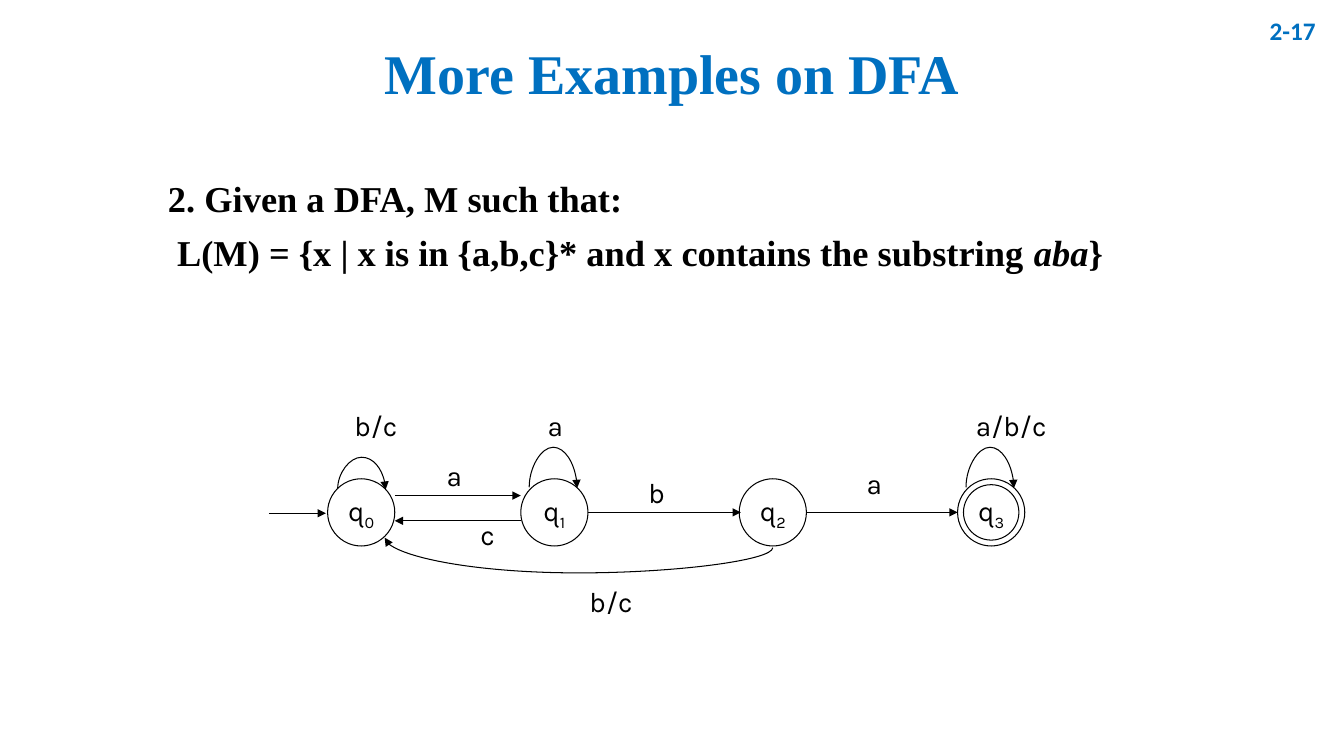
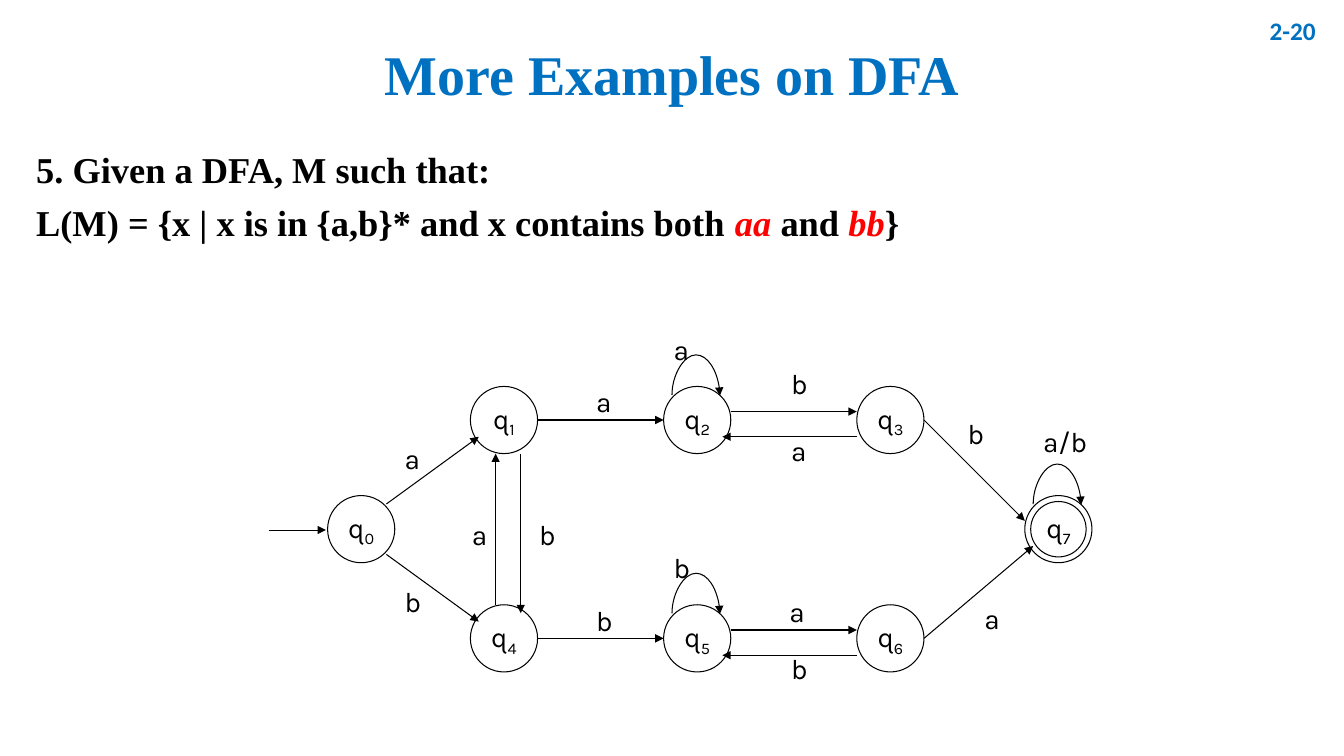
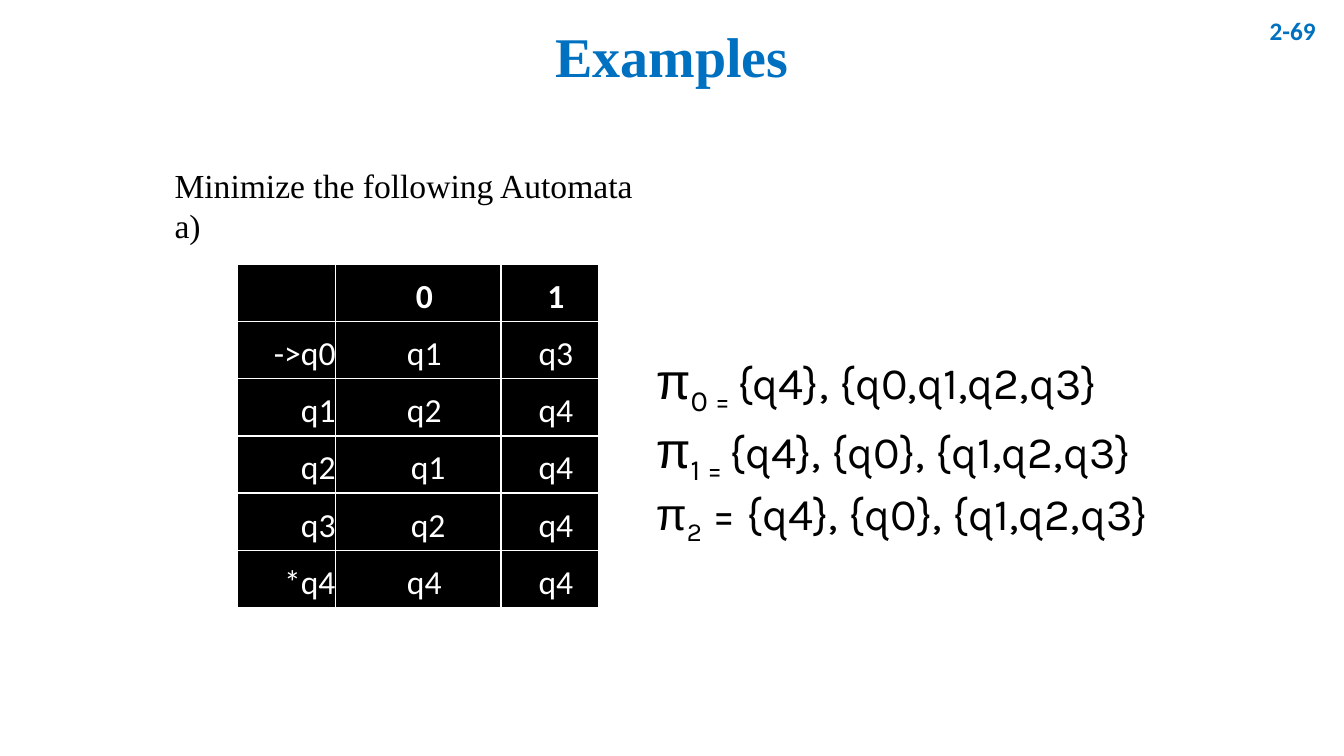
import dataclasses
import typing

import lxml.etree
import pptx
import pptx.dml.color
import pptx.enum.shapes
import pptx.enum.text
import pptx.oxml
import pptx.oxml.ns
import pptx.slide
import pptx.util

# Shared style: the slide is a grid of 160 columns by 90 rows, 12 to the inch
COLUMNS, ROWS, PER_INCH = 160, 90, 12
COLOURS = {"blue": "0070C0", "black": "000000", "white": "FFFFFF", "red": "FF0000"}
SERIF, SANS, DIAGRAM, GREEK = "Times New Roman", "Calibri", "Karla", "Arial"
LINE_WIDTH = pptx.util.Pt(0.75)
STATE_SIZE = 8
RING_GAP = 0.7
LOOP_WIDTH = 5.7
TITLE_ONLY, TITLE_AND_BODY = 5, 1
ALIGN = pptx.enum.text.PP_ALIGN
Point = tuple[float, float]
Box = tuple[float, float, float, float]


class Span(typing.NamedTuple):
    text: str
    size: float = 20
    font: str = DIAGRAM
    colour: str = "black"
    bold: bool = False
    italic: bool = False
    subscript: bool = False


@dataclasses.dataclass
class State:
    number: int
    column: float
    row: float
    accepting: bool = False


@dataclasses.dataclass
class Label:
    text: str
    column: float
    row: float


@dataclasses.dataclass
class Loop:
    column: float
    row: float
    rise: float = 4.8


@dataclasses.dataclass
class Automaton:
    states: list[State]
    arrows: list[tuple[Point, Point]]
    loops: list[Loop]
    labels: list[Label]


# Basic helpers
def grid(cells: float) -> pptx.util.Emu:
    return pptx.util.Inches(cells / PER_INCH)


def rgb(name: str) -> pptx.dml.color.RGBColor:
    return pptx.dml.color.RGBColor.from_string(COLOURS[name])


def child(parent: typing.Any, tag: str, **attributes: str) -> typing.Any:
    element = lxml.etree.SubElement(parent, pptx.oxml.ns.qn(tag))
    for key, value in attributes.items():
        element.set(key, value)
    return element


def write(paragraph: typing.Any, spans: list[Span]) -> None:
    for span in spans:
        run = paragraph.add_run()
        run.text = span.text
        run.font.size = pptx.util.Pt(span.size)
        run.font.name = span.font
        run.font.bold = span.bold
        run.font.italic = span.italic
        run.font.color.rgb = rgb(span.colour)
        if span.subscript:
            run.font._element.set("baseline", "-24000")


def write_lines(frame: typing.Any, lines: list[list[Span]]) -> None:
    for index, spans in enumerate(lines):
        write(frame.add_paragraph() if index else frame.paragraphs[0], spans)


def add_text(slide: pptx.slide.Slide, box: Box, lines: list[list[Span]]) -> typing.Any:
    frame = slide.shapes.add_textbox(*map(grid, box)).text_frame
    frame.word_wrap = True
    write_lines(frame, lines)
    return frame


def place(shape: typing.Any, box: Box) -> None:
    shape.left, shape.top, shape.width, shape.height = map(grid, box)
    shape.text_frame.auto_size = pptx.enum.text.MSO_AUTO_SIZE.NONE


# Title, page number and statement
def add_slide(deck: typing.Any, layout: int, title: str, box: Box, page: str) -> pptx.slide.Slide:
    slide = deck.slides.add_slide(deck.slide_layouts[layout])
    heading = slide.shapes.title
    place(heading, box)
    heading.text_frame.vertical_anchor = pptx.enum.text.MSO_ANCHOR.MIDDLE
    paragraph = heading.text_frame.paragraphs[0]
    paragraph.alignment = ALIGN.CENTER
    paragraph.line_spacing = 0.9
    write(paragraph, [Span(title, 40, SERIF, "blue", bold=True)])
    number = add_text(slide, (147.1, 0, 10.7, 7.2), [[Span(page, 18, SANS, "blue", bold=True)]])
    number.vertical_anchor = pptx.enum.text.MSO_ANCHOR.MIDDLE
    number.paragraphs[0].alignment = ALIGN.RIGHT
    return slide


def statement(text: str, colour: str = "black", italic: bool = False) -> Span:
    return Span(text, 26, SERIF, colour, bold=True, italic=italic)


def add_statement(slide: pptx.slide.Slide, box: Box, lines: list[list[Span]]) -> None:
    body = slide.placeholders[1]
    place(body, box)
    write_lines(body.text_frame, lines)
    for index, paragraph in enumerate(body.text_frame.paragraphs):
        properties = paragraph._p.get_or_add_pPr()
        properties.set("marL", str(pptx.util.Inches(0.25)))
        properties.set("indent", str(-pptx.util.Inches(0.25)))
        child(properties, "a:buNone")
        paragraph.alignment = ALIGN.JUSTIFY
        paragraph.line_spacing = 0.9
        paragraph.space_before = pptx.util.Pt(10 if index else 0)


# Automaton parts
def style_arrow(connector: typing.Any) -> None:
    connector.line.color.rgb = rgb("black")
    connector.line.width = LINE_WIDTH
    child(connector.line._get_or_add_ln(), "a:tailEnd", type="triangle")
    child(connector._element.spPr, "a:effectLst")


def add_arrow(slide: pptx.slide.Slide, start: Point, end: Point) -> None:
    style_arrow(slide.shapes.add_connector(
        pptx.enum.shapes.MSO_CONNECTOR.STRAIGHT, *map(grid, (*start, *end))))


def add_curve(slide: pptx.slide.Slide, start: Point, end: Point, bend_row: float) -> None:
    """Curve from start to end that turns back at bend_row, as a quarter-turned connector."""
    (x0, y0), (x1, y1) = start, end
    depth, span = abs(y1 - y0), abs(x1 - x0)
    left, top = (x0 + x1 - depth) / 2, (y0 + y1 - span) / 2
    connector = slide.shapes.add_connector(
        pptx.enum.shapes.MSO_CONNECTOR.CURVE, *map(grid, (left, top, left + depth, top + span)))
    properties = connector._element.spPr
    frame = properties.find(pptx.oxml.ns.qn("a:xfrm"))
    frame.set("rot", str(90 * 60000))
    if y0 > y1:
        frame.set("flipH", "1")
    if x0 < x1:
        frame.set("flipV", "1")
    geometry = properties.find(pptx.oxml.ns.qn("a:prstGeom"))
    guides = geometry.find(pptx.oxml.ns.qn("a:avLst"))
    if guides is None:
        guides = child(geometry, "a:avLst")
    bend = round((bend_row - y0) / (y1 - y0) * 100000)
    child(guides, "a:gd", name="adj1", fmla=f"val {bend}")
    style_arrow(connector)


def add_circle(slide: pptx.slide.Slide, column: float, row: float, size: float) -> typing.Any:
    circle = slide.shapes.add_shape(
        pptx.enum.shapes.MSO_SHAPE.OVAL, *map(grid, (column, row, size, size)))
    circle.shadow.inherit = False
    circle.fill.background()
    circle.line.color.rgb = rgb("black")
    circle.line.width = LINE_WIDTH
    return circle


def add_state(slide: pptx.slide.Slide, state: State) -> None:
    gap = RING_GAP if state.accepting else 0
    circle = add_circle(slide, state.column + gap, state.row + gap, STATE_SIZE - 2 * gap)
    frame = circle.text_frame
    frame.word_wrap = False
    frame.vertical_anchor = pptx.enum.text.MSO_ANCHOR.MIDDLE
    frame.paragraphs[0].alignment = ALIGN.CENTER
    write(frame.paragraphs[0], [Span("q"), Span(str(state.number), subscript=True)])
    if state.accepting:
        add_circle(slide, state.column, state.row, STATE_SIZE)


def add_automaton(slide: pptx.slide.Slide, automaton: Automaton) -> None:
    for state in automaton.states:
        add_state(slide, state)
    for start, end in automaton.arrows:
        add_arrow(slide, start, end)
    for loop in automaton.loops:
        end = (loop.column + LOOP_WIDTH, loop.row + 0.1)
        add_curve(slide, (loop.column, loop.row), end, loop.row - loop.rise)
    for label in automaton.labels:
        width = 3 + 1.9 * len(label.text)
        add_text(slide, (label.column, label.row, width, 5.25), [[Span(label.text)]])


# Transition table
def add_transitions(slide: pptx.slide.Slide, rows: list[list[str]]) -> None:
    widths, row_height = (11.65, 19.7, 11.65), 6.8
    table = slide.shapes.add_table(
        len(rows), len(widths), *map(grid, (28.3, 31.5, sum(widths), row_height * len(rows)))).table
    for column, width in zip(table.columns, widths):
        column.width = grid(width)
    for row_index, row in enumerate(rows):
        table.rows[row_index].height = grid(row_height)
        for column_index, text in enumerate(row):
            cell = table.cell(row_index, column_index)
            cell.margin_left = cell.margin_top = pptx.util.Inches(0.12)
            cell.margin_right = cell.margin_bottom = 0
            for side in ("a:lnL", "a:lnR", "a:lnT", "a:lnB"):
                border = child(cell._tc.get_or_add_tcPr(), side, w=str(pptx.util.Pt(1)))
                child(child(border, "a:solidFill"), "a:srgbClr", val=COLOURS["white"])
            cell.fill.solid()
            cell.fill.fore_color.rgb = rgb("black")
            if text:
                paragraph = cell.text_frame.paragraphs[0]
                paragraph.alignment = ALIGN.CENTER if column_index else ALIGN.RIGHT
                write(paragraph, [Span(text, 24, SANS, "white", bold=row_index == 0)])


# Slides
def build_substring(deck: typing.Any) -> None:
    slide = add_slide(deck, TITLE_AND_BODY, "More Examples on DFA", (18.8, 3.7, 122.4, 10.8), "2-17")
    add_statement(slide, (18.8, 21, 122.4, 24), [
        [statement("2. Given a DFA, M such that:")],
        [statement(" L(M) = {x | x is in {a,b,c}* and x contains the substring "),
         statement("aba", italic=True), statement("}")],
    ])
    add_automaton(slide, Automaton(
        states=[State(0, 39, 57), State(1, 62, 57), State(2, 88, 57), State(3, 114, 57, True)],
        arrows=[((32, 61.1), (38.8, 61.1)), ((47, 59), (62, 59)), ((62, 62), (47, 62)),
                ((70, 61), (88.2, 61)), ((96, 61), (114, 61))],
        loops=[Loop(40.2, 58.2, 3.8), Loop(63, 58), Loop(115, 58)],
        labels=[Label("b/c", 41, 48), Label("a", 64, 48), Label("a/b/c", 115, 48),
                Label("a", 52, 54), Label("c", 56, 61), Label("b", 76, 56),
                Label("a", 102, 55), Label("b/c", 69, 69)],
    ))
    add_curve(slide, (92, 65.2), (45.8, 64), 68.2)


def build_both_pairs(deck: typing.Any) -> None:
    slide = add_slide(deck, TITLE_AND_BODY, "More Examples on DFA", (18.8, 3.7, 122.4, 11), "2-20")
    add_statement(slide, (3.1, 17.5, 138, 21.5), [
        [statement("5. Given a DFA, M such that:")],
        [statement("L(M) = {x | x is in {a,b}* and x contains both "),
         statement("aa", "red", italic=True), statement(" and "),
         statement("bb", "red", italic=True), statement("}")],
    ])
    automaton = Automaton(
        states=[State(0, 39, 59), State(7, 122, 59, True)],
        arrows=[((32, 63.1), (38.8, 63.1)), ((46, 60), (57, 52)), ((46, 66), (57, 74)),
                ((59, 72), (59, 54)), ((62, 54), (62, 73)),
                ((110, 50), (122, 62)), ((110, 76), (123, 65))],
        loops=[Loop(123, 60)],
        labels=[Label("a", 47, 52), Label("b", 47, 69), Label("a", 55, 61), Label("b", 63, 61),
                Label("b", 93, 43), Label("a", 92.8, 70.2), Label("b", 114, 49),
                Label("a", 116, 71), Label("a/b", 123, 50)],
    )
    # The two branches share one layout
    for row, first_state, letter in ((46, 1, "a"), (72, 4, "b")):
        automaton.states += [State(first_state + step, column, row)
                             for step, column in enumerate((56, 79, 102))]
        automaton.arrows += [((64, row + 4), (79, row + 4)), ((87, row + 3), (102, row + 3)),
                             ((102, row + 6), (86, row + 6))]
        automaton.loops.append(Loop(80, row + 1))
        automaton.labels += [Label(letter, 69.8, row - 0.8), Label(letter, 79, row - 7),
                             Label(letter, 93, row + 5)]
    add_automaton(slide, automaton)


def build_minimization(deck: typing.Any) -> None:
    slide = add_slide(deck, TITLE_ONLY, "Examples", (11, 0.6, 138, 13), "2-69")
    add_transitions(slide, [
        ["", "0", "1"],
        ["->q0", "q1", "q3"],
        ["q1", "q2", "q4"],
        ["q2", " q1", "q4"],
        ["q3", " q2", "q4"],
        ["*q4", "q4", "q4"],
    ])
    add_text(slide, (19.6, 19, 60, 10.9), [
        [Span("Minimize the following Automata", 24, SERIF)], [Span("a)", 24, SERIF)]])
    partitions = [
        (36, "0 = ", "{q4}, {q0,q1,q2,q3}"),
        (36, "1 = ", "{q4}, {q0}, {q1,q2,q3}"),
        (32, "2", " = {q4}, {q0}, {q1,q2,q3}"),
    ]
    add_text(slide, (76.9, 41, 72, 22.2), [
        [Span("π", size, GREEK), Span(index, size, subscript=True), Span(sets, 32)]
        for size, index, sets in partitions])


def main() -> None:
    deck = pptx.Presentation()
    deck.slide_width, deck.slide_height = grid(COLUMNS), grid(ROWS)
    build_substring(deck)
    build_both_pairs(deck)
    build_minimization(deck)
    deck.save("out.pptx")


if __name__ == "__main__":
    main()
